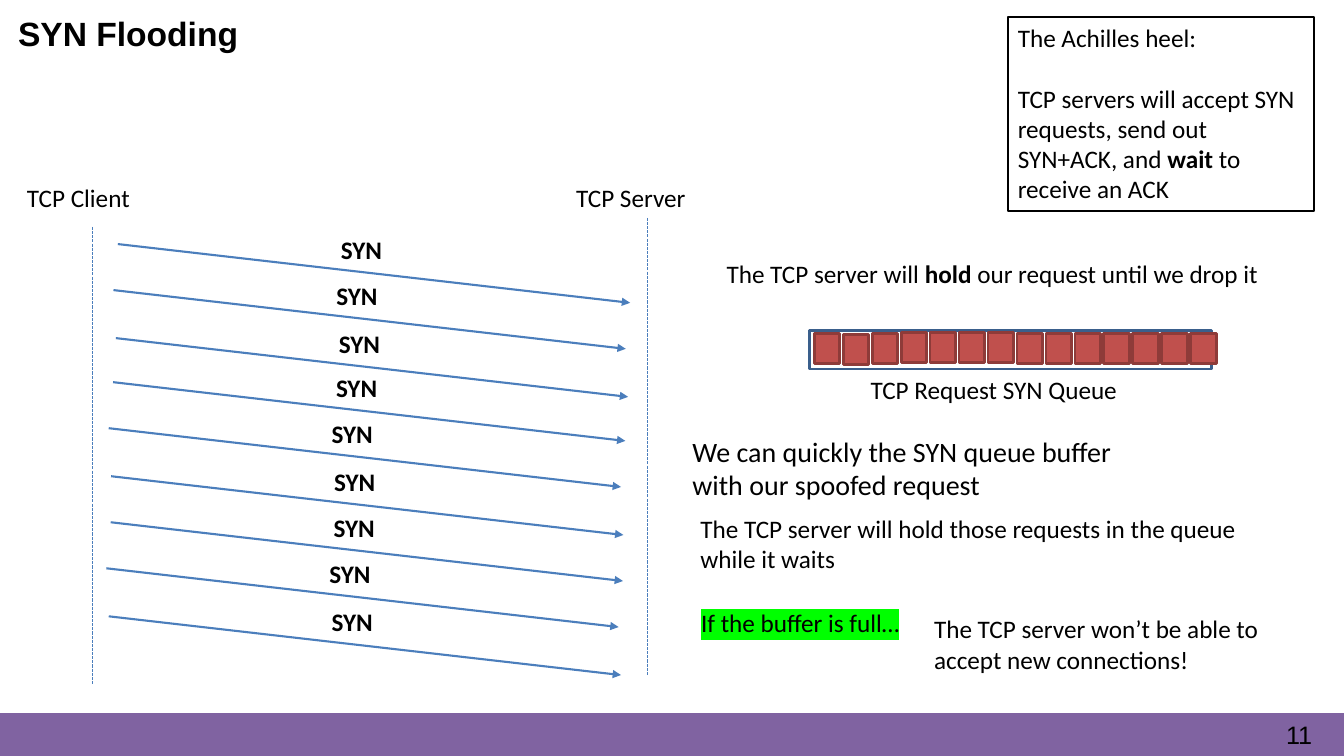
"""Build the SYN flooding slide: packet flow, request queue and notes."""
from dataclasses import dataclass
from itertools import product
from typing import Any, Optional

from lxml import etree
from pptx import Presentation
from pptx import util as u
from pptx.dml.color import RGBColor
from pptx.enum import dml, shapes, text
from pptx.oxml.ns import qn


@dataclass(frozen=True)
class Theme:
    """Colours, fonts and type sizes."""
    ink: str = "000000"
    arrow: str = "4B7EBC"
    frame: str = "3A5F8C"
    cell: str = "C0504D"
    edge: str = "8E3B39"
    band: str = "8063A1"
    mark: str = "00FF00"
    head: str = "Arial"
    body: str = "Calibri"
    title: int = 24
    large: int = 20
    base: int = 18


@dataclass(frozen=True)
class Box:
    """A place on the slide in centimetres."""
    left: float
    top: float
    width: float
    height: float

    def spans(self) -> tuple[int, ...]:
        """Return the place as slide lengths."""
        return tuple(u.Cm(n) for n in (self.left, self.top, self.width, self.height))


@dataclass(frozen=True)
class Note:
    """A text box; words between asterisks are bold."""
    words: str
    box: Box
    size: int = Theme.base
    wrap: bool = False
    mark: Optional[str] = None


T = Theme()

NOTES = [
    Note("TCP Client", Box(0.43, 4.47, 3.61, 1.02)),
    Note("TCP Server", Box(14.27, 4.47, 3.86, 1.02)),
    Note("The TCP server will *hold* our request until we drop it",
         Box(18.06, 6.38, 15.21, 1.02)),
    Note("TCP Request SYN Queue", Box(21.69, 9.32, 7.95, 1.02)),
    Note("We can quickly the SYN queue buffer with our spoofed request",
         Box(17.2, 10.82, 11.38, 1.96), T.large, True),
    Note("The TCP server will hold those requests in the queue while it waits",
         Box(17.4, 12.8, 14.83, 1.8), wrap=True),
    Note("If the buffer is full…", Box(17.42, 15.19, 6.22, 1.02), mark=T.mark),
    Note("The TCP server won’t be able to accept new connections!",
         Box(23.29, 15.34, 9.32, 1.8), wrap=True),
]
HEEL = ("The Achilles heel:\nTCP servers will accept SYN requests, send out "
        "SYN+ACK, and *wait* to receive an ACK")
GROUPS = [(2.97, 6.15), (2.85, 9.63), (2.79, 13.16)]
STEPS = [(0, 0), (-0.11, 1.16), (-0.05, 2.37)]
SHIFTS = [0, 0.02, 0] + [-0.03] * 4 + [0] * 7


def write(frame: Any, words: str, size: int, font: str = T.body,
          bold: bool = False) -> None:
    """Fill a text frame and style its runs."""
    for i, line in enumerate(words.split("\n")):
        para = frame.add_paragraph() if i else frame.paragraphs[0]
        para.alignment = text.PP_ALIGN.LEFT
        for j, part in enumerate(line.split("*")):
            run = para.add_run()
            run.text = part
            run.font.size = u.Pt(size)
            run.font.bold = bold or j % 2 == 1
            run.font.color.rgb = RGBColor.from_string(T.ink)
            run.font.name = font


def add_note(slide: Any, note: Note) -> None:
    """Draw one text box."""
    frame = slide.shapes.add_textbox(*note.box.spans()).text_frame
    frame.word_wrap = note.wrap
    frame.auto_size = text.MSO_AUTO_SIZE.SHAPE_TO_FIT_TEXT
    write(frame, note.words, note.size)
    if note.mark:
        props = frame.paragraphs[0].runs[0].font._element
        light = etree.Element(qn("a:highlight"))
        etree.SubElement(light, qn("a:srgbClr"), val=note.mark)
        props.find(qn("a:solidFill")).addnext(light)


def add_rect(slide: Any, box: Box, line: str, weight: float,
             fill: Optional[str] = None) -> Any:
    """Draw one rectangle."""
    rect = slide.shapes.add_shape(shapes.MSO_SHAPE.RECTANGLE, *box.spans())
    rect.shadow.inherit = False
    rect.line.color.rgb = RGBColor.from_string(line)
    rect.line.width = u.Pt(weight)
    if fill:
        rect.fill.solid()
        rect.fill.fore_color.rgb = RGBColor.from_string(fill)
    else:
        rect.fill.background()
    return rect


def add_line(slide: Any, x: float, y: float, dx: float, dy: float,
             weight: float, arrow: bool) -> None:
    """Draw a solid arrow or a dashed lifeline."""
    link = slide.shapes.add_connector(
        shapes.MSO_CONNECTOR.STRAIGHT, u.Cm(x), u.Cm(y), u.Cm(x + dx), u.Cm(y + dy))
    link.line.color.rgb = RGBColor.from_string(T.arrow)
    link.line.width = u.Pt(weight)
    if arrow:
        etree.SubElement(link.line._get_or_add_ln(), qn("a:tailEnd"), type="triangle")
    else:
        link.line.dash_style = dml.MSO_LINE.SQUARE_DOT
    etree.SubElement(link._element.spPr, qn("a:effectLst"))


def add_frame(slide: Any) -> None:
    """Draw the title, footer band and page number."""
    title = slide.shapes.title
    title.left, title.top, title.width, title.height = Box(0.2, 0.2, 22.43, 1.27).spans()
    title.text_frame.vertical_anchor = text.MSO_ANCHOR.TOP
    write(title.text_frame, "SYN Flooding", T.title, T.head, True)
    add_rect(slide, Box(0, 17.98, 33.87, 1.07), T.band, 1, T.band)
    page = slide.shapes.add_textbox(*Box(31.95, 18.16, 1.8, 0.79).spans()).text_frame
    page.word_wrap = True
    page.margin_left = u.Cm(0.46)
    page.margin_top = page.margin_right = page.margin_bottom = 0
    write(page, "11", T.base, T.head)
    page.paragraphs[0].line_spacing = u.Pt(20.9)


def add_flow(slide: Any) -> None:
    """Draw both lifelines and the SYN packets."""
    for x, y in ((2.34, 5.72), (16.31, 5.49)):
        add_line(slide, x, y, 0, 11.51, 0.75, False)
    for (x, y), (dx, dy) in product(GROUPS, STEPS):
        add_line(slide, x + dx, y + dy, 12.91, 1.48, 1.5, True)
        add_note(slide, Note("*SYN*", Box(x + dx + 5.37, y + dy - 0.38, 1.83, 1.02)))


def add_queue(slide: Any) -> None:
    """Draw the queue filled with requests."""
    add_rect(slide, Box(20.4, 8.33, 10.13, 0.97), T.frame, 2)
    for i, shift in enumerate(SHIFTS):
        add_rect(slide, Box(20.52 + 0.73 * i, 8.41 + shift, 0.64, 0.76),
                 T.edge, 2, T.cell)


def add_heel(slide: Any) -> None:
    """Draw the framed remark."""
    rect = add_rect(slide, Box(25.4, 0.43, 7.72, 4.88), T.ink, 1.5)
    rect.text_frame.word_wrap = True
    rect.text_frame.vertical_anchor = text.MSO_ANCHOR.TOP
    write(rect.text_frame, HEEL, T.base)
    rect.text_frame.paragraphs[1].space_before = u.Pt(22)


def main() -> None:
    """Build and save the deck."""
    deck = Presentation()
    deck.slide_width, deck.slide_height = u.Cm(33.87), u.Cm(19.05)
    slide = deck.slides.add_slide(deck.slide_layouts[5])
    add_frame(slide)
    add_flow(slide)
    add_heel(slide)
    add_queue(slide)
    for note in NOTES:
        add_note(slide, note)
    deck.save("out.pptx")


if __name__ == "__main__":
    main()
